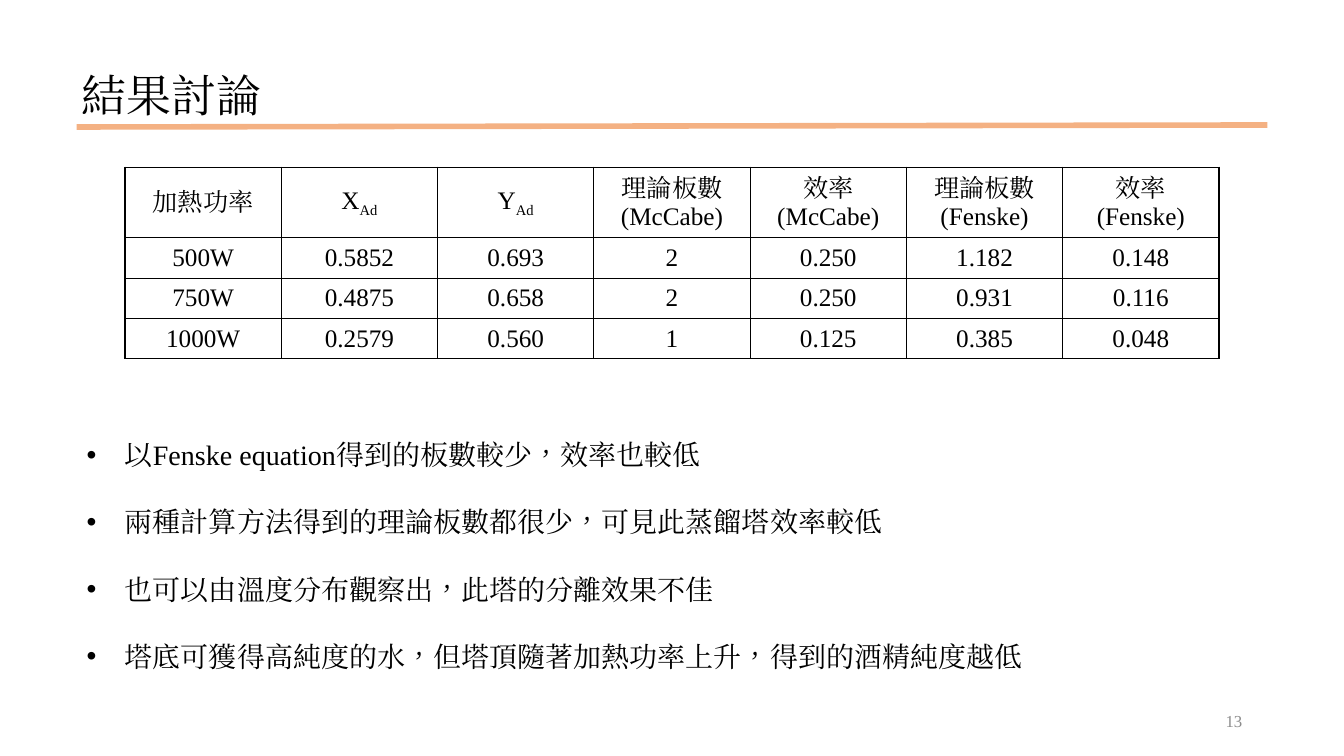
from pptx import Presentation
from pptx.dml.color import RGBColor
from pptx.enum.shapes import MSO_CONNECTOR as Connector
from pptx.enum.text import MSO_ANCHOR as Anchor, MSO_AUTO_SIZE as AutoSize, PP_ALIGN as Align
from pptx.oxml.ns import qn
from pptx.util import Pt
from lxml.etree import SubElement, Element

# Content: a cell is a list of lines, a line is a list of (text, is_subscript)
TITLE = "結果討論"
PAGE_NUMBER = "13"
HEADER = [
    [[("加熱功率", False)]],
    [[("X", False), ("Ad", True)]],
    [[("Y", False), ("Ad", True)]],
    [[("理論板數(McCabe)", False)]],
    [[("效率", False)], [("(McCabe)", False)]],
    [[("理論板數", False)], [("(Fenske)", False)]],
    [[("效率", False)], [("(Fenske)", False)]],
]
RESULTS = [
    ("500W", "0.5852", "0.693", "2", "0.250", "1.182", "0.148"),
    ("750W", "0.4875", "0.658", "2", "0.250", "0.931", "0.116"),
    ("1000W", "0.2579", "0.560", "1", "0.125", "0.385", "0.048"),
]
FINDINGS = [
    "以Fenske equation得到的板數較少，效率也較低",
    "兩種計算方法得到的理論板數都很少，可見此蒸餾塔效率較低",
    "也可以由溫度分布觀察出，此塔的分離效果不佳",
    "塔底可獲得高純度的水，但塔頂隨著加熱功率上升，得到的酒精純度越低",
]

# Theme and layout, in px of 1/100 inch
THEME = {
    "font": "Times New Roman", "ink": "000000", "muted": "8C8C8C", "accent": "F4B183",
    "title": 32, "body": 20, "table": 18, "small": 12, "rule": 4, "border": 1,
}
PX = 9144
SLIDE = (1333, 750)
TITLE_BOX = (71, 62, 200, 64)
RULE = (76, 126, 1257, 124)
TABLE_AT = (124, 166)
COLUMN, HEADER_ROW, RESULT_ROW = 155, 70, 40
FINDINGS_BOX = (76, 396, 995, 269)
NUMBER_BOX = (942, 695, 300, 40)
HANG = 38


def px(values):
    return [value * PX for value in values]


def assign(target, values):
    for name, value in values.items():
        setattr(target, name, value)


def add_span(para, text, size, color="ink", subscript=False):
    span = para.add_run()
    span.text = text
    assign(span.font, {"name": THEME["font"], "size": Pt(THEME[size])})
    span.font.color.rgb = RGBColor.from_string(THEME[color])
    props = span.font._element
    props.set("lang", "zh-TW")
    SubElement(props, qn("a:ea")).set("typeface", THEME["font"])
    if subscript:
        props.set("baseline", "-25000")


def add_bullet(para):
    props = para._p.get_or_add_pPr()
    props.set("marL", str(HANG * PX))
    props.set("indent", str(-HANG * PX))
    SubElement(props, qn("a:buFont")).set("typeface", "Arial")
    SubElement(props, qn("a:buChar")).set("char", "•")


def add_borders(cell):
    props = cell._tc.get_or_add_tcPr()
    for index, side in enumerate(("lnL", "lnR", "lnT", "lnB")):
        line = Element(qn("a:" + side), w=str(Pt(THEME["border"])))
        fill = SubElement(line, qn("a:solidFill"))
        SubElement(fill, qn("a:srgbClr")).set("val", THEME["ink"])
        props.insert(index, line)


def fill_cell(cell, lines):
    cell.fill.background()
    add_borders(cell)
    assign(cell, {"vertical_anchor": Anchor.MIDDLE, "margin_top": 0, "margin_bottom": 0})
    frame = cell.text_frame
    for index, line in enumerate(lines):
        para = frame.add_paragraph() if index else frame.paragraphs[0]
        para.alignment = Align.CENTER
        for text, subscript in line:
            add_span(para, text, "table", subscript=subscript)


deck = Presentation()
deck.slide_width, deck.slide_height = px(SLIDE)
page = deck.slides.add_slide(deck.slide_layouts[5])

# Page number
frame = page.shapes.add_textbox(*px(NUMBER_BOX)).text_frame
assign(frame, {"word_wrap": True, "vertical_anchor": Anchor.MIDDLE})
frame.paragraphs[0].alignment = Align.RIGHT
add_span(frame.paragraphs[0], PAGE_NUMBER, "small", "muted")

# Title and rule
title = page.shapes.title
assign(title, dict(zip(("left", "top", "width", "height"), px(TITLE_BOX))))
assign(title.text_frame, {"word_wrap": False, "vertical_anchor": Anchor.TOP,
                          "auto_size": AutoSize.SHAPE_TO_FIT_TEXT})
title.text_frame.paragraphs[0].alignment = Align.LEFT
add_span(title.text_frame.paragraphs[0], TITLE, "title")

rule = page.shapes.add_connector(Connector.STRAIGHT, *px(RULE))
rule.line.color.rgb = RGBColor.from_string(THEME["accent"])
rule.line.width = Pt(THEME["rule"])
SubElement(rule._element.spPr, qn("a:effectLst"))

# Findings
frame = page.shapes.add_textbox(*px(FINDINGS_BOX)).text_frame
assign(frame, {"word_wrap": True, "auto_size": AutoSize.SHAPE_TO_FIT_TEXT})
for index, finding in enumerate(FINDINGS):
    para = frame.add_paragraph() if index else frame.paragraphs[0]
    para.line_spacing = 2.0
    add_bullet(para)
    add_span(para, finding, "body")

# Results table
rows = [HEADER] + [[[[(value, False)]] for value in result] for result in RESULTS]
heights = [HEADER_ROW] + [RESULT_ROW] * len(RESULTS)
table_size = (COLUMN * len(HEADER), sum(heights))
table = page.shapes.add_table(len(rows), len(HEADER), *px(TABLE_AT + table_size)).table
assign(table, {"first_row": False, "horz_banding": False})
for column in table.columns:
    column.width = COLUMN * PX
for row, height, contents in zip(table.rows, heights, rows):
    row.height = height * PX
    for cell, lines in zip(row.cells, contents):
        fill_cell(cell, lines)

deck.save("out.pptx")
